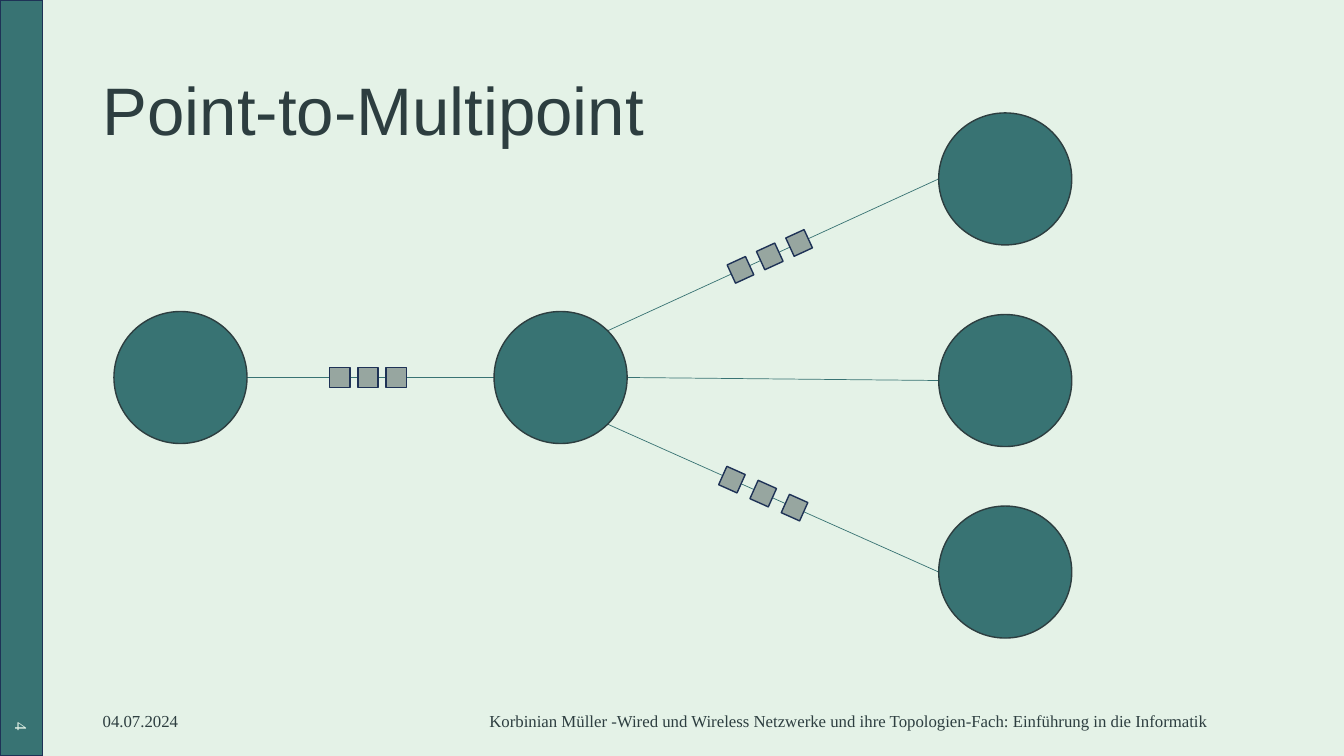
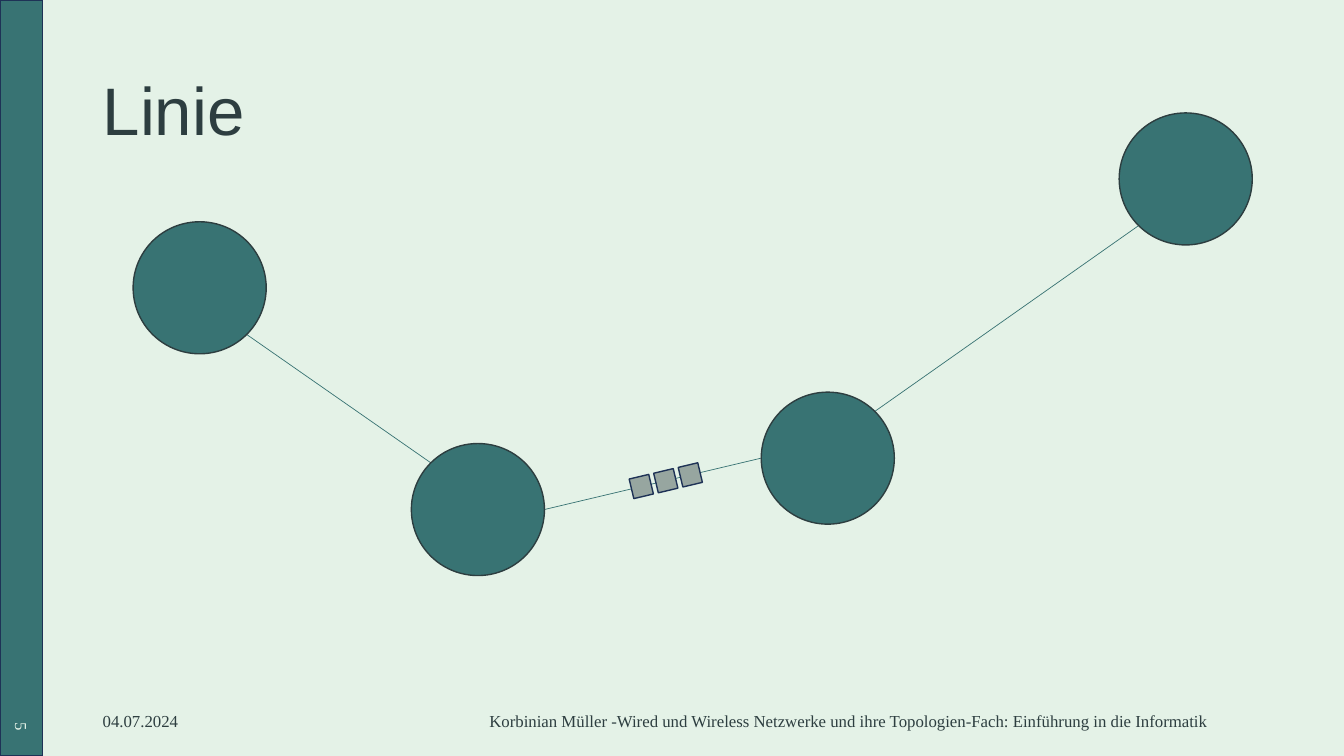
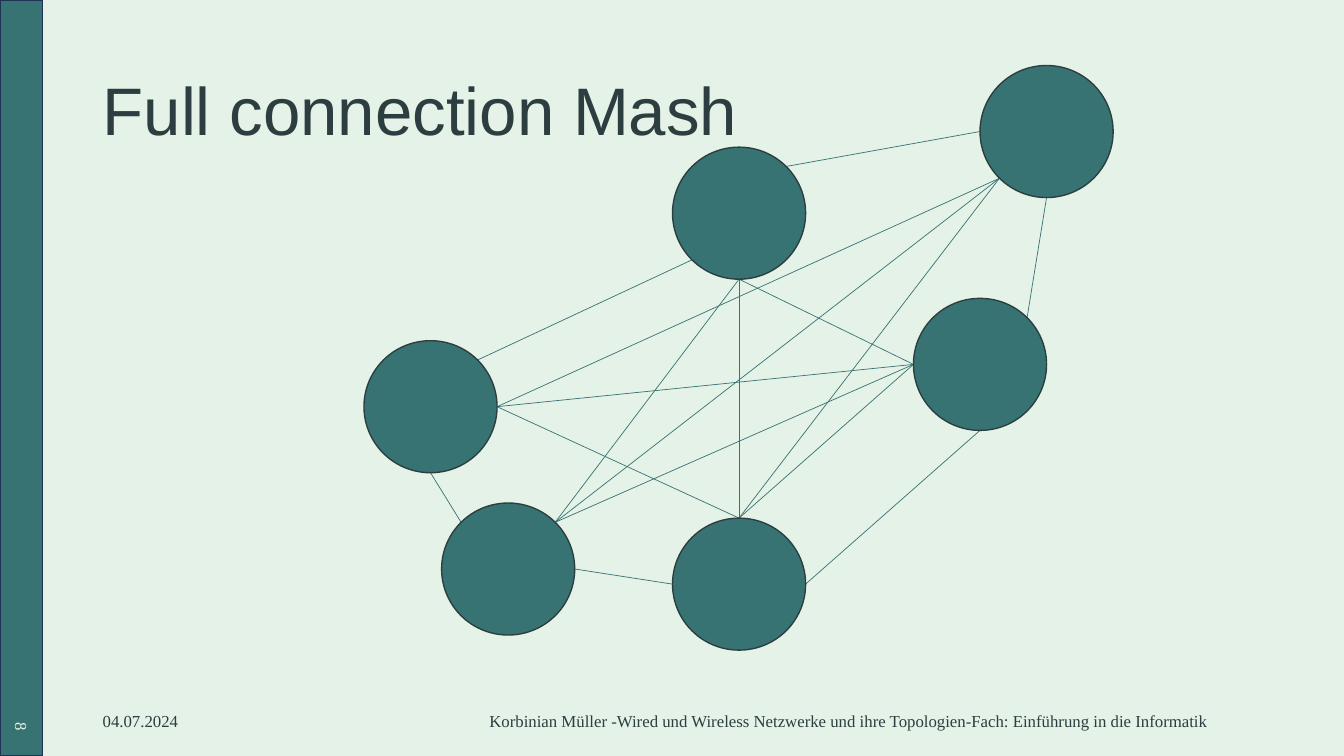
"""Build three slides on network topologies."""
import math
import pptx
import pptx.util
import pptx.dml.color
import pptx.enum.shapes
import pptx.enum.text
import lxml.etree

WIDE, HIGH = 13.33, 7.5
PAPER, TEAL, INK, NAVY, GREY = "E4F2E7", "387373", "2D3E40", "1E3256", "97A6A0"
HEAD, BODY = "Arial", "Times New Roman"
NODE = (1.32, 1.31)
PACK = 0.2
DATE = "04.07.2024"
FOOT = ("Korbinian Müller -Wired und Wireless Netzwerke und ihre "
        "Topologien-Fach: Einführung in die Informatik")

SIDES = ["e", "se", "s", "sw", "w", "nw", "n", "ne"]
SHAPE = pptx.enum.shapes.MSO_SHAPE
ALIGN = pptx.enum.text.PP_ALIGN

# Links: node, side, node, side. Trains: link number, share along it, step.
SLIDES = [
    {"title": "Point-to-Multipoint", "page": "4",
     "nodes": {"start": (1.13, 3.09), "hub": (4.9, 3.09), "top": (9.31, 1.12),
               "mid": (9.31, 3.12), "low": (9.31, 5.02)},
     "links": ["start e hub w", "hub e mid w", "hub se low w", "hub ne top w"],
     "trains": [(0, 0.49, 0.28), (2, 0.47, 0.34), (3, 0.49, 0.32)]},
    {"title": "Linie", "page": "5",
     "nodes": {"one": (1.32, 2.2), "two": (4.08, 4.4),
               "three": (7.55, 3.89), "four": (11.1, 1.12)},
     "links": ["one se two nw", "two e three w", "three ne four sw"],
     "trains": [(1, 0.56, 0.25)]},
    {"title": "Full connection Mash", "page": "8",
     "nodes": {"top": (6.67, 1.46), "west": (3.61, 3.38), "south": (6.67, 5.14),
               "east": (9.06, 2.96), "low": (4.38, 4.99), "peak": (9.72, 0.65)},
     "links": ["west ne top sw", "west e east w", "south n top s",
               "south e east s", "west s low nw", "low e south w",
               "low ne peak sw", "low ne east w", "south n west e",
               "south n peak sw", "south n east w", "east ne peak s",
               "peak w top ne", "peak sw west e", "top s east w",
               "top s low ne"],
     "trains": []},
]


def tint(code):
    return pptx.dml.color.RGBColor.from_string(code)


def inches(*sizes):
    return [pptx.util.Inches(size) for size in sizes]


def add_form(slide, kind, box, fill, edge, turn=0):
    form = slide.shapes.add_shape(kind, *inches(*box))
    form.shadow.inherit = False
    form.fill.solid()
    form.fill.fore_color.rgb = tint(fill)
    form.line.color.rgb = tint(edge)
    form.line.width = pptx.util.Pt(1)
    form.rotation = turn


def add_text(slide, box, text, size=12, font=BODY, color=INK, align=ALIGN.LEFT):
    label = slide.shapes.add_textbox(*inches(*box))
    frame = label.text_frame
    frame.word_wrap = True
    frame.vertical_anchor = pptx.enum.text.MSO_ANCHOR.MIDDLE
    frame.text = text
    para = frame.paragraphs[0]
    para.alignment = align
    face = para.runs[0].font
    face.size, face.name = pptx.util.Pt(size), font
    face.color.rgb = tint(color)
    return label


def add_base(slide, title, page):
    slide.background.fill.solid()
    slide.background.fill.fore_color.rgb = tint(PAPER)
    add_form(slide, SHAPE.RECTANGLE, (0, 0, 0.42, HIGH), TEAL, NAVY)
    head = add_text(slide, (0.92, 0.4, 11.5, 1.45), title, 48, HEAD)
    head.text_frame.paragraphs[0].line_spacing = 0.9
    add_text(slide, (0.92, 6.95, 3, 0.4), DATE)
    add_text(slide, (4.42, 6.95, 8, 0.4), FOOT, align=ALIGN.CENTER)
    number = add_text(slide, (-0.18, 6.75, 0.79, 0.4), page,
                      color=PAPER, align=ALIGN.RIGHT)
    number.rotation = 90


def find_port(spot, side):
    angle = SIDES.index(side) * math.pi / 4
    return (spot[0] + NODE[0] / 2 * (1 + math.cos(angle)),
            spot[1] + NODE[1] / 2 * (1 + math.sin(angle)))


def add_link(slide, start, end):
    link = slide.shapes.add_connector(
        pptx.enum.shapes.MSO_CONNECTOR.STRAIGHT, *inches(*start, *end))
    link.line.color.rgb = tint(TEAL)
    link.line.width = pptx.util.Pt(0.5)
    props = link.element.spPr
    lxml.etree.SubElement(props, pptx.oxml.ns.qn("a:effectLst"))


def add_train(slide, start, end, share, step):
    run, rise = end[0] - start[0], end[1] - start[1]
    angle = math.atan2(rise, run)
    for place in (-1, 0, 1):
        left = start[0] + share * run + place * step * math.cos(angle) - PACK / 2
        top = start[1] + share * rise + place * step * math.sin(angle) - PACK / 2
        add_form(slide, SHAPE.RECTANGLE, (left, top, PACK, PACK),
                 GREY, NAVY, math.degrees(angle))


def main():
    deck = pptx.Presentation()
    deck.slide_width, deck.slide_height = inches(WIDE, HIGH)
    for data in SLIDES:
        slide = deck.slides.add_slide(deck.slide_layouts[6])
        add_base(slide, data["title"], data["page"])
        nodes, lines = data["nodes"], []
        for link in data["links"]:
            first, out, last, into = link.split()
            lines.append((find_port(nodes[first], out),
                          find_port(nodes[last], into)))
        for line in lines:
            add_link(slide, *line)
        for index, share, step in data["trains"]:
            add_train(slide, *lines[index], share, step)
        for spot in nodes.values():
            add_form(slide, SHAPE.OVAL, (*spot, *NODE), TEAL, INK)
    deck.save("out.pptx")


if __name__ == "__main__":
    main()
